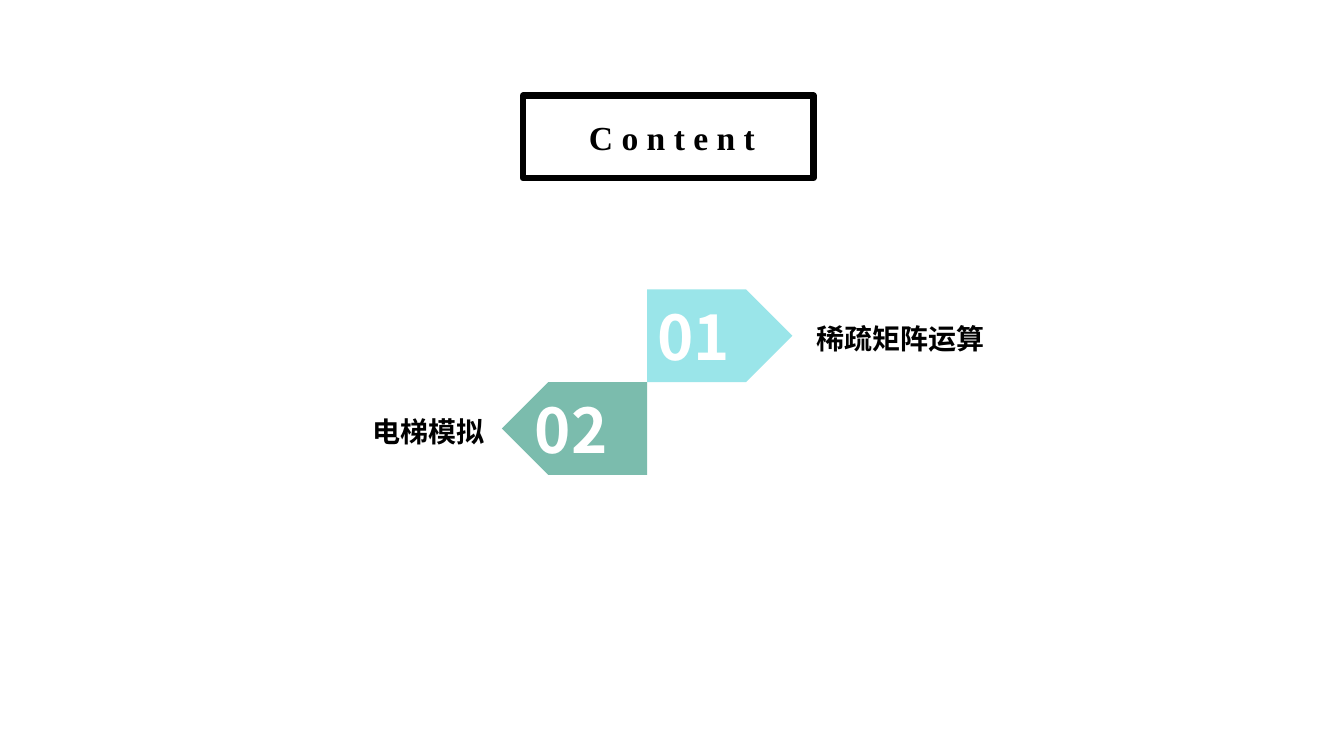
from lxml import etree
from pptx import Presentation
from pptx.dml.color import RGBColor
from pptx.enum.shapes import MSO_SHAPE
from pptx.enum.text import MSO_ANCHOR, PP_ALIGN
from pptx.oxml.ns import qn
from pptx.util import Cm, Pt

RECT, PLATE = MSO_SHAPE.RECTANGLE, MSO_SHAPE.PENTAGON
LEFT, CENTER = PP_ALIGN.LEFT, PP_ALIGN.CENTER
MIDDLE = MSO_ANCHOR.MIDDLE

BLACK = RGBColor(0x00, 0x00, 0x00)
WHITE = RGBColor(0xFF, 0xFF, 0xFF)
AQUA = RGBColor(0x9A, 0xE5, 0xE9)
GREEN = RGBColor(0x7B, 0xBC, 0xAD)

SERIF, SANS = "Times New Roman", "Noto Sans CJK SC"
TAG_W, TAG_H = 3.66, 2.34


def write(shape, text, size, color=BLACK, font=SERIF, align=LEFT,
          lines=None, gap=None):
    shape.text_frame.word_wrap = True
    para = shape.text_frame.paragraphs[0]
    para.alignment = align
    if lines:
        para.line_spacing = lines
    run = para.add_run()
    run.text = text
    run.font.size = Pt(size)
    run.font.bold = True
    run.font.color.rgb = color
    run.font.name = font
    # East Asian typeface and letter spacing
    props = run.font._element
    east = etree.Element(qn("a:ea"), typeface=SANS)
    props.find(qn("a:latin")).addnext(east)
    if gap:
        props.set("spc", str(gap * 100))


def add_box(slide, x, y, w, h):
    return slide.shapes.add_textbox(Cm(x), Cm(y), Cm(w), Cm(h))


def add_form(slide, kind, x, y, w, h):
    form = slide.shapes.add_shape(kind, Cm(x), Cm(y), Cm(w), Cm(h))
    form.shadow.inherit = False
    return form


def add_title(slide, x, y, w, h):
    title = add_box(slide, x + 1.09, y + 0.41, w - 1.99, 1.27)
    write(title, "Content", 24, align=CENTER, gap=6)
    frame = add_form(slide, RECT, x, y, w, h)
    frame.fill.background()
    frame.line.color.rgb = BLACK
    frame.line.width = Pt(4.5)


def add_entry(slide, x, y, number, text, color, shift, flip=False):
    # Numbered arrow tag
    tag = add_form(slide, PLATE, x, y, TAG_W, TAG_H)
    tag.fill.solid()
    tag.fill.fore_color.rgb = color
    tag.line.fill.background()
    tag.text_frame.vertical_anchor = MIDDLE
    write(tag, number, 44, color=WHITE, font=SANS)
    if flip:
        tag._element.spPr.find(qn("a:xfrm")).set("flipH", "1")
    # Topic beside the tip
    topic = add_box(slide, x + shift, y + 0.53, 8.51, 1.19)
    write(topic, text, 20, lines=1.2)


def add_list(slide, mid, top):
    # Tags meet at the corner on the middle line
    add_entry(slide, mid, top, "01", "稀疏矩阵运算", AQUA, 4.01)
    add_entry(slide, mid - TAG_W, top + TAG_H, "02", "电梯模拟", GREEN,
              -3.51, flip=True)


def main():
    deck = Presentation()
    deck.slide_width, deck.slide_height = Cm(33.87), Cm(19.05)
    slide = deck.slides.add_slide(deck.slide_layouts[6])
    add_title(slide, 13.18, 2.41, 7.32, 2.08)
    add_list(slide, 16.31, 7.29)
    deck.save("out.pptx")


if __name__ == "__main__":
    main()
